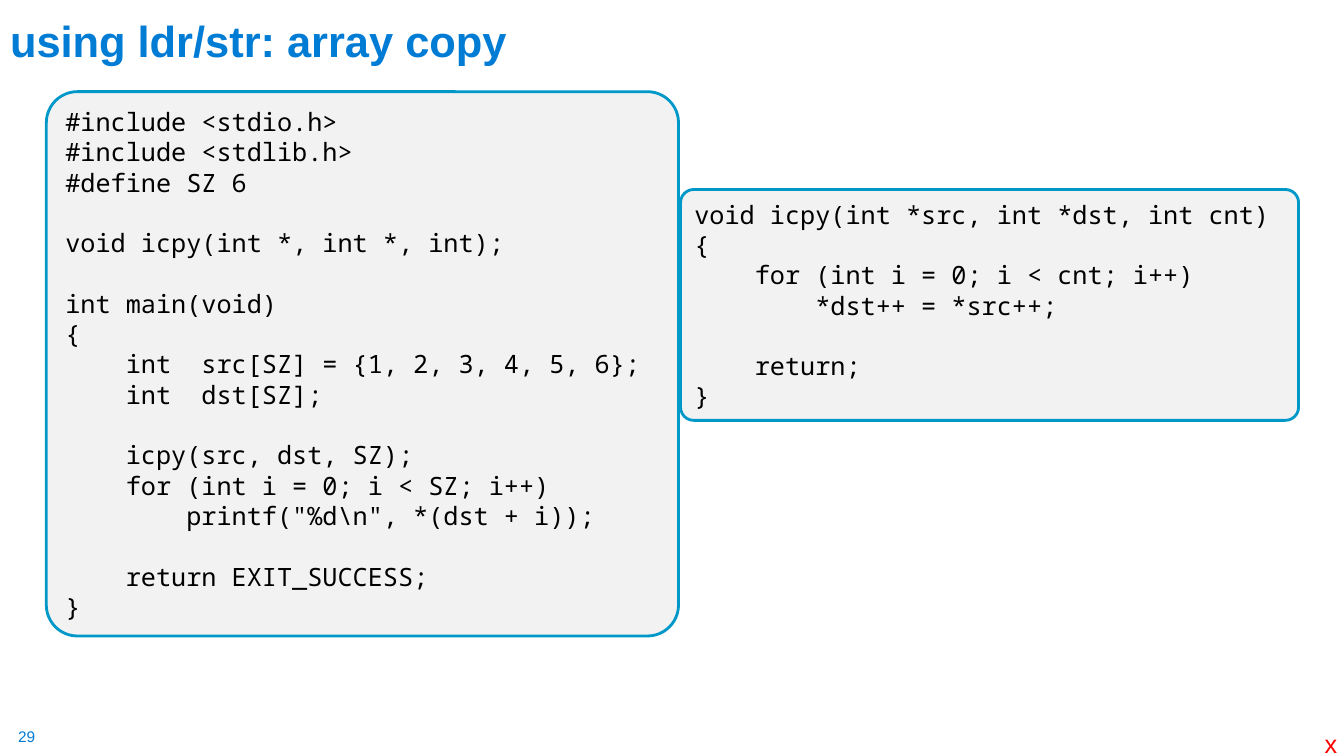
from pptx import Presentation
from pptx.dml.color import RGBColor
from pptx.enum.shapes import MSO_SHAPE
from pptx.enum.text import MSO_ANCHOR, PP_ALIGN
from pptx.util import Inches, Pt

TITLE_BLUE = RGBColor(0x00, 0x7C, 0xD5)
BORDER_BLUE = RGBColor(0x00, 0x98, 0xC9)
PANEL_GRAY = RGBColor(0xF2, 0xF2, 0xF2)
BLACK = RGBColor(0x00, 0x00, 0x00)
RED = RGBColor(0xFF, 0x00, 0x00)
LINE_HEIGHT = Pt(21.65)

MAIN_CODE = r"""#include <stdio.h>
#include <stdlib.h>
#define SZ 6

void icpy(int *, int *, int);

int main(void)
{
    int  src[SZ] = {1, 2, 3, 4, 5, 6};
    int  dst[SZ];

    icpy(src, dst, SZ);
    for (int i = 0; i < SZ; i++)
        printf("%d\n", *(dst + i));

    return EXIT_SUCCESS;
}"""

COPY_CODE = """void icpy(int *src, int *dst, int cnt)
{
    for (int i = 0; i < cnt; i++)
        *dst++ = *src++;

    return;
}"""


def add_span(para, text, size, color, font="Arial", bold=False):
    span = para.add_run()
    span.text = text
    span.font.name = font
    span.font.size = Pt(size)
    span.font.bold = bold
    span.font.color.rgb = color


deck = Presentation()
deck.slide_width, deck.slide_height = Inches(13.33), Inches(7.5)
page = deck.slides.add_slide(deck.slide_layouts[5])

# Title
title = page.shapes.title
title.left, title.top = Inches(0), Inches(0.23)
title.width, title.height = Inches(10.72), Inches(0.48)
title.text_frame.vertical_anchor = MSO_ANCHOR.BOTTOM
title_para = title.text_frame.paragraphs[0]
title_para.alignment = PP_ALIGN.LEFT
add_span(title_para, "using ldr/str: array copy", 31, TITLE_BLUE, bold=True)

# Code panels: a blank code line becomes space before the next line
for code, left, top, width, height in (
    (MAIN_CODE, 0.46, 0.91, 6.27, 5.4),
    (COPY_CODE, 6.75, 1.88, 6.13, 2.29),
):
    panel = page.shapes.add_shape(
        MSO_SHAPE.ROUNDED_RECTANGLE,
        Inches(left), Inches(top), Inches(width), Inches(height),
    )
    panel.adjustments[0] = 0.057
    panel.shadow.inherit = False
    panel.fill.solid()
    panel.fill.fore_color.rgb = PANEL_GRAY
    panel.line.color.rgb = BORDER_BLUE
    panel.line.width = Pt(2)
    frame = panel.text_frame
    frame.word_wrap = True
    frame.vertical_anchor = MSO_ANCHOR.MIDDLE
    para = frame.paragraphs[0]
    for block_number, block in enumerate(code.split("\n\n")):
        for line_number, line in enumerate(block.split("\n")):
            if block_number or line_number:
                para = frame.add_paragraph()
            if block_number and line_number == 0:
                para.space_before = LINE_HEIGHT
            para.alignment = PP_ALIGN.LEFT
            para.line_spacing = LINE_HEIGHT
            add_span(para, line, 18, BLACK, font="Noto Sans Mono")

# Slide number and corner mark
number_box = page.shapes.add_textbox(
    Inches(0.18), Inches(7.21), Inches(0.19), Inches(0.19))
number_frame = number_box.text_frame
number_frame.margin_left = number_frame.margin_right = 0
number_frame.margin_top = number_frame.margin_bottom = 0
add_span(number_frame.paragraphs[0], "29", 11, TITLE_BLUE)

mark_box = page.shapes.add_textbox(
    Inches(13.04), Inches(7.18), Inches(0.33), Inches(0.4))
add_span(mark_box.text_frame.paragraphs[0], "x", 18, RED)

deck.save("out.pptx")
